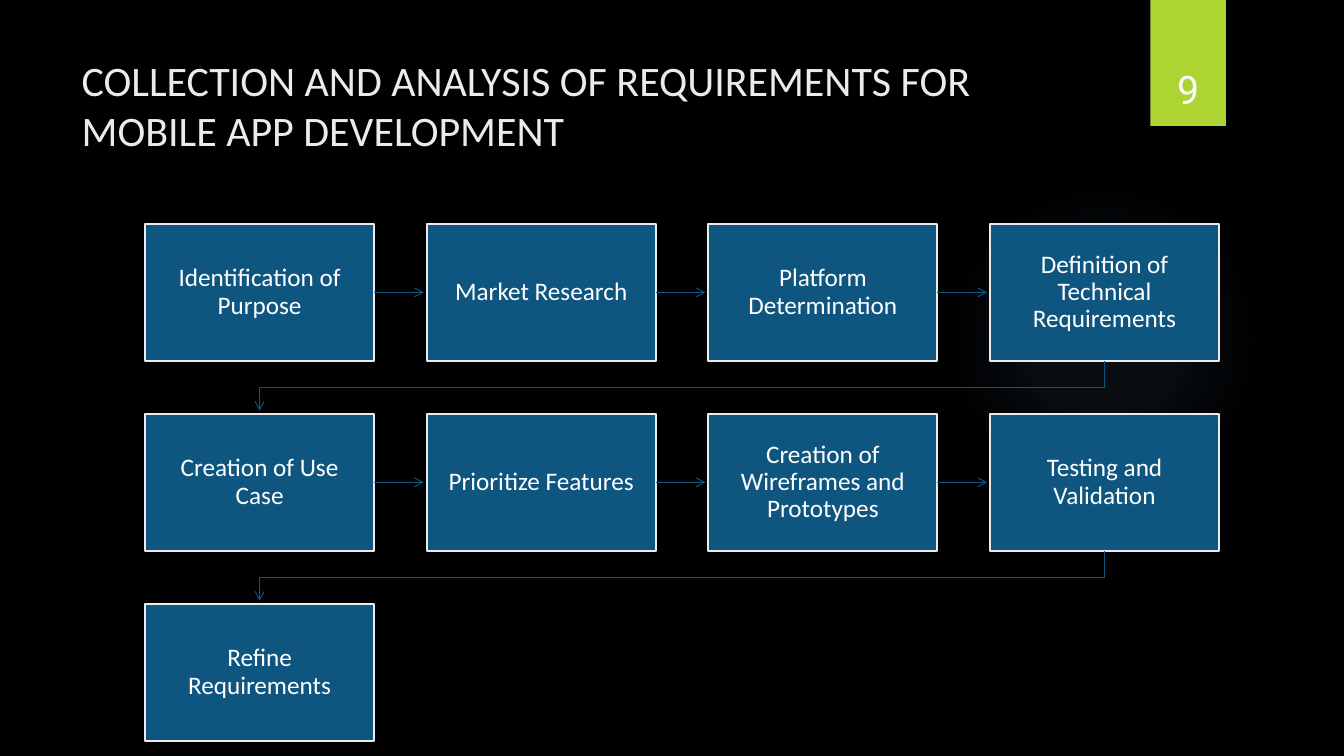
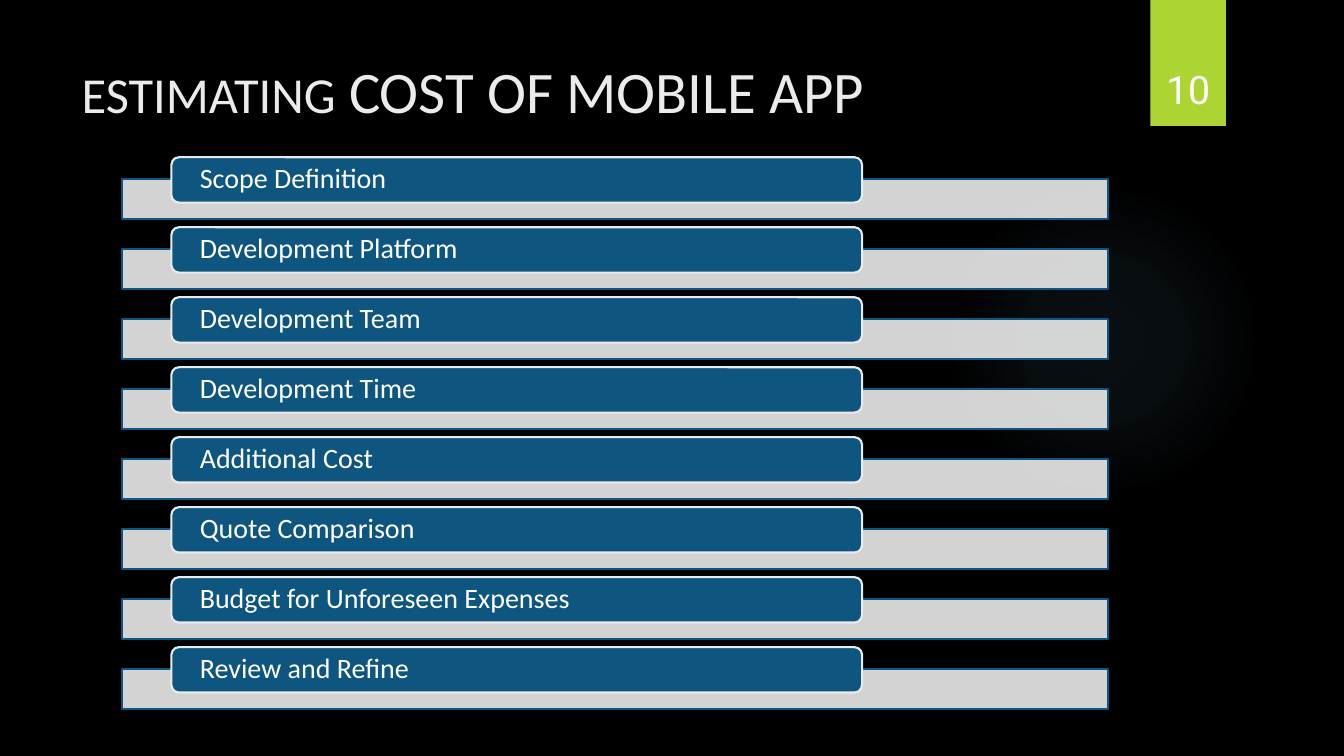
"""Build two slides on planning a mobile app: requirements flow and cost factors."""
from lxml import etree
from pptx import Presentation
from pptx.dml.color import RGBColor
from pptx.enum import shapes, text
from pptx.oxml.ns import qn
from pptx.util import Inches, Pt

BLACK, BLUE, PALE = "000000", "0E5580", "EBEBEB"
WHITE, LIME, SKY = "FFFFFF", "ACD433", "7AC4F0"
BODY_FONT, NUMBER_FONT = "Calibri", "Roboto"
RECT = shapes.MSO_SHAPE.RECTANGLE
ROUNDED = shapes.MSO_SHAPE.ROUNDED_RECTANGLE
GLOW_STOPS = ((0, 7), (36, 6), (69, 0), (100, 0))


def rgb(value):
    """Turn a hex string into a colour."""
    return RGBColor.from_string(value)


def add_xml(parent, tag, **attributes):
    """Append a DrawingML child and return it."""
    values = {key: str(value) for key, value in attributes.items()}
    return etree.SubElement(parent, qn(tag), values)


class Deck:
    """Holds the shared style and the slide being built."""

    def __init__(self):
        """Open a wide black presentation."""
        self.prs = Presentation()
        self.prs.slide_width, self.prs.slide_height = Inches(13.33), Inches(7.5)
        background = self.prs.slide_master.background.fill
        background.solid()
        background.fore_color.rgb = rgb(BLACK)
        self.slide = None

    def start(self, number, *title_parts):
        """Add a slide with its title, glow and number tag."""
        self.slide = self.prs.slides.add_slide(self.prs.slide_layouts[5])
        self.title(title_parts)
        self.glow()
        tag = self.box(RECT, 11.41, 0, 0.75, 1.25, LIME)
        self.label(tag, number, 28, NUMBER_FONT, insets=(0, 0, 0, 0.14),
                   anchor=text.MSO_ANCHOR.BOTTOM, spacing=1.0)

    def title(self, parts):
        """Place the title and give each part its own size."""
        title = self.slide.shapes.title
        title.left, title.top = Inches(0.71), Inches(0.49)
        title.width, title.height = Inches(10.29), Inches(1.53)
        frame = title.text_frame
        frame.word_wrap = True
        frame.auto_size = text.MSO_AUTO_SIZE.NONE
        frame.vertical_anchor = text.MSO_ANCHOR.TOP
        paragraph = frame.paragraphs[0]
        paragraph.alignment = text.PP_ALIGN.LEFT
        for words, size in parts:
            run = paragraph.add_run()
            run.text = words
            self.font(run, size, BODY_FONT, PALE)

    def font(self, run, size, name, color):
        """Format one run."""
        run.font.size, run.font.name = Pt(size), name
        run.font.color.rgb = rgb(color)

    def glow(self):
        """Draw the faint round glow on the right."""
        glow = self.box(shapes.MSO_SHAPE.OVAL, 9.41, 1.83, 3.08, 3.08, SKY)
        properties = glow.element.spPr
        solid = properties.find(qn("a:solidFill"))
        gradient = etree.Element(qn("a:gradFill"), rotWithShape="1")
        stops = add_xml(gradient, "a:gsLst")
        for position, opacity in GLOW_STOPS:
            stop = add_xml(stops, "a:gs", pos=position * 1000)
            color = add_xml(stop, "a:srgbClr", val=SKY)
            add_xml(color, "a:alpha", val=opacity * 1000)
        circle = add_xml(gradient, "a:path", path="circle")
        add_xml(circle, "a:fillToRect", l=50000, t=50000, r=50000, b=50000)
        properties.replace(solid, gradient)

    def box(self, kind, left, top, width, height, fill, line=None, opacity=100):
        """Add a filled shape, outlined when a line colour is given."""
        shape = self.slide.shapes.add_shape(
            kind, Inches(left), Inches(top), Inches(width), Inches(height))
        shape.shadow.inherit = False
        shape.fill.solid()
        shape.fill.fore_color.rgb = rgb(fill)
        if opacity < 100:
            color = shape.element.spPr.find(qn("a:solidFill")).find(qn("a:srgbClr"))
            add_xml(color, "a:alpha", val=opacity * 1000)
        if line:
            shape.line.color.rgb = rgb(line)
            shape.line.width = Pt(1.5)
        else:
            shape.line.fill.background()
        return shape

    def label(self, shape, words, size, name=BODY_FONT, insets=(0.14,) * 4,
              align=text.PP_ALIGN.CENTER, anchor=text.MSO_ANCHOR.MIDDLE, spacing=0.9):
        """Put white text into a shape."""
        frame = shape.text_frame
        frame.text = words
        frame.word_wrap = True
        frame.vertical_anchor = anchor
        (frame.margin_left, frame.margin_top,
         frame.margin_right, frame.margin_bottom) = map(Inches, insets)
        paragraph = frame.paragraphs[0]
        paragraph.alignment, paragraph.line_spacing = align, spacing
        self.font(paragraph.runs[0], size, name, WHITE)

    def arrow_line(self, shape):
        """Give a line its colour, width and open arrowhead."""
        shape.line.color.rgb = rgb(BLUE)
        shape.line.width = Pt(0.75)
        add_xml(shape.element.spPr.find(qn("a:ln")), "a:tailEnd", type="arrow")

    def arrow(self, source, target, gap):
        """Point from one box to just before the next in its row."""
        middle = source.top + source.height // 2
        connector = self.slide.shapes.add_connector(
            shapes.MSO_CONNECTOR.STRAIGHT, source.left + source.width, middle,
            target.left - gap, middle)
        connector.begin_connect(source, 3)
        self.arrow_line(connector)
        add_xml(connector.element.spPr, "a:effectLst")

    def wrap_arrow(self, source, target, gap):
        """Lead from the end of one row to the start of the next."""
        start_x = source.left + source.width // 2
        end_x = target.left + target.width // 2
        bottom = source.top + source.height
        turn = (bottom + target.top) // 2
        builder = self.slide.shapes.build_freeform(start_x, bottom)
        builder.add_line_segments(
            [(start_x, turn), (end_x, turn), (end_x, target.top - gap)], close=False)
        route = builder.convert_to_shape()
        route.shadow.inherit = False
        route.fill.background()
        self.arrow_line(route)


def requirements(deck):
    """Build the flow of requirement steps."""
    deck.start("9", ("COLLECTION AND ANALYSIS OF REQUIREMENTS FOR MOBILE APP DEVELOPMENT", 30))
    steps = ("Identification of Purpose", "Market Research", "Platform Determination",
             "Definition of Technical Requirements", "Creation of Use Case",
             "Prioritize Features", "Creation of Wireframes and Prototypes",
             "Testing and Validation", "Refine Requirements")
    columns = 4
    column_pitch, row_pitch = (9.82 - 1.44) / 3, (5.99 - 2.22) / 2
    boxes = []
    for index, step in enumerate(steps):
        row, column = divmod(index, columns)
        box = deck.box(RECT, 1.44 + column * column_pitch, 2.22 + row * row_pitch,
                       2.27, 1.36, BLUE, PALE)
        deck.label(box, step, 18)
        boxes.append(box)
    for index, (source, target) in enumerate(zip(boxes, boxes[1:]), 1):
        connect = deck.arrow if index % columns else deck.wrap_arrow
        connect(source, target, Inches(0.03))


def costs(deck):
    """Build the list of cost factors."""
    deck.start("10", ("ESTIMATING", 36), (" COST OF MOBILE APP", 42))
    factors = ("Scope Definition", "Development Platform", "Development Team",
               "Development Time", "Additional Cost", "Quote Comparison",
               "Budget for Unforeseen Expenses", "Review and Refine")
    pitch = (6.64 - 1.78) / (len(factors) - 1)
    for index, factor in enumerate(factors):
        offset = index * pitch
        deck.box(RECT, 1.21, 1.78 + offset, 9.78, 0.39, PALE, BLUE, opacity=90)
        tab = deck.box(ROUNDED, 1.7, 1.56 + offset, 6.85, 0.45, BLUE, PALE)
        deck.label(tab, factor, 20, insets=(0.26, 0, 0.26, 0), align=text.PP_ALIGN.LEFT)


def main():
    """Build and save the presentation."""
    deck = Deck()
    requirements(deck)
    costs(deck)
    deck.prs.save("out.pptx")


if __name__ == "__main__":
    main()
